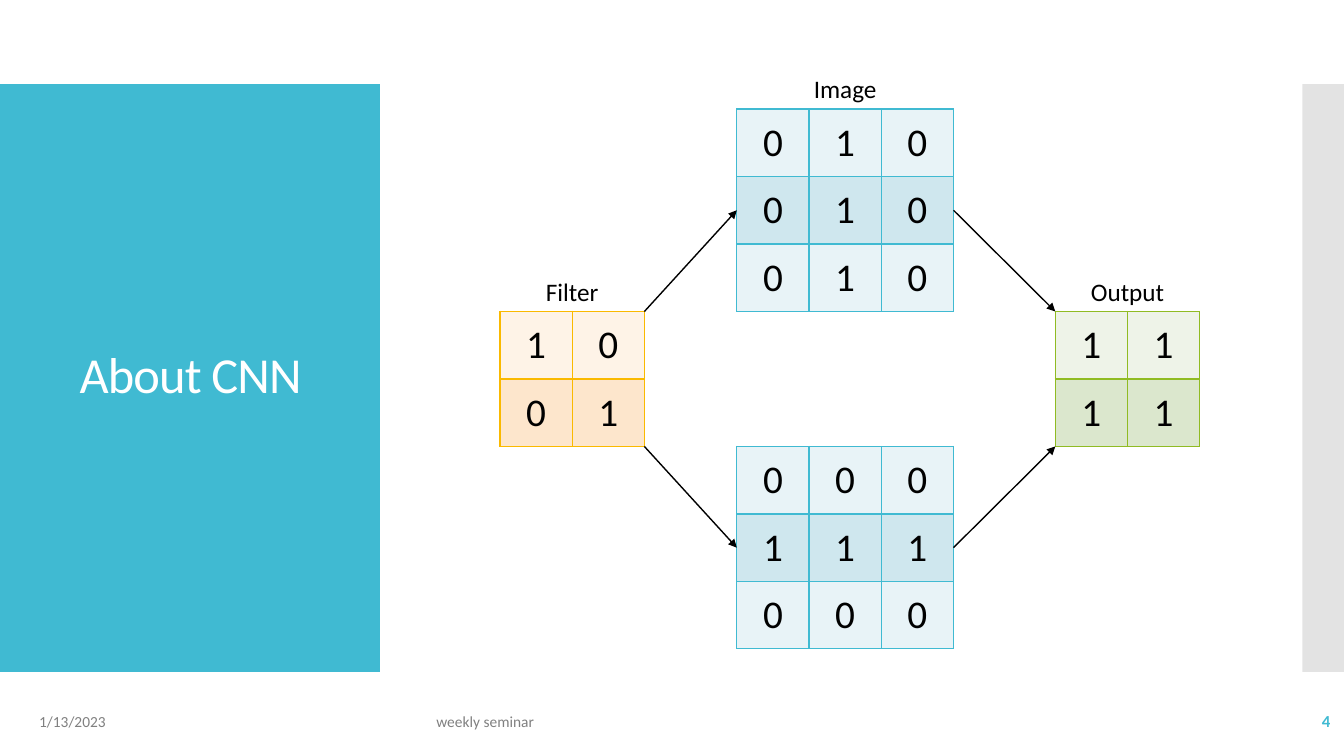
"""Build the "About CNN" slide with a filter, two images and their output."""
import pptx
import pptx.util
import pptx.dml.color
import pptx.enum.shapes
import pptx.enum.text
import pptx.oxml
import pptx.oxml.ns
from lxml import etree

Pt = pptx.util.Pt
RGBColor = pptx.dml.color.RGBColor
ALIGN = pptx.enum.text.PP_ALIGN
MIDDLE = pptx.enum.text.MSO_ANCHOR.MIDDLE

WHITE = RGBColor(0xFF, 0xFF, 0xFF)
BLACK = RGBColor(0, 0, 0)
TEAL = RGBColor(0x40, 0xBA, 0xD2)
AMBER = RGBColor(0xFA, 0xB9, 0x00)
GREEN = RGBColor(0x90, 0xBB, 0x23)
SILVER = RGBColor(0xC8, 0xC8, 0xC8)
GREY = RGBColor(0x80, 0x80, 0x80)
TEAL_BANDS = RGBColor(0xE8, 0xF3, 0xF7), RGBColor(0xCF, 0xE7, 0xEE)
AMBER_BANDS = RGBColor(0xFE, 0xF3, 0xE7), RGBColor(0xFD, 0xE6, 0xCC)
GREEN_BANDS = RGBColor(0xEE, 0xF3, 0xE8), RGBColor(0xDB, 0xE7, 0xCD)

FONT = "Calibri"
CELL_WIDTH, CELL_HEIGHT = 51.6, 48.2
LABEL_WIDTH, LABEL_HEIGHT = 70, 29
FILTER_LEFT, IMAGE_LEFT, OUTPUT_LEFT = 357.1, 526.3, 753.8
IMAGE_TOP = 77.9
MIDDLE_TOP = IMAGE_TOP + 3 * CELL_HEIGHT
LOWER_TOP = MIDDLE_TOP + 2 * CELL_HEIGHT

TITLE = "About CNN"
PANELS = [(0, 271.4, TEAL, 100), (930.2, 29.8, SILVER, 50)]
FOOTERS = [
    ("1/13/2023", 20.9, 216, 11, GREY, False, ALIGN.LEFT),
    ("weekly seminar", 304.6, 465, 11, GREY, False, ALIGN.LEFT),
    ("4", 837.4, 120, 12, TEAL, True, ALIGN.RIGHT),
]
MATRICES = [
    ("Image", IMAGE_LEFT, IMAGE_TOP, ["010", "010", "010"], TEAL, TEAL_BANDS),
    ("Filter", FILTER_LEFT, MIDDLE_TOP, ["10", "01"], AMBER, AMBER_BANDS),
    ("Output", OUTPUT_LEFT, MIDDLE_TOP, ["11", "11"], GREEN, GREEN_BANDS),
    ("", IMAGE_LEFT, LOWER_TOP, ["000", "111", "000"], TEAL, TEAL_BANDS),
]


def style(para, size, color, align, bold=False):
    para.alignment = align
    para.font.name = FONT
    para.font.size = Pt(size)
    para.font.bold = bold
    para.font.color.rgb = color


def add_text(page, text, left, top, width, size, color, bold=False, align=ALIGN.CENTER):
    box = page.shapes.add_textbox(Pt(left), Pt(top), Pt(width), Pt(LABEL_HEIGHT))
    box.text_frame.word_wrap = True
    box.text_frame.vertical_anchor = MIDDLE
    para = box.text_frame.paragraphs[0]
    para.text = text
    style(para, size, color, align, bold)


def add_panel(page, left, width, color, opacity):
    panel = page.shapes.add_shape(
        pptx.enum.shapes.MSO_SHAPE.RECTANGLE, Pt(left), Pt(60), Pt(width), Pt(420))
    panel.shadow.inherit = False
    panel.fill.solid()
    panel.fill.fore_color.rgb = color
    panel.line.fill.background()
    tint = panel.element.spPr.find(".//" + pptx.oxml.ns.qn("a:srgbClr"))
    etree.SubElement(tint, pptx.oxml.ns.qn("a:alpha"), val=str(opacity * 1000))


def add_borders(cell, color):
    properties = cell._tc.get_or_add_tcPr()
    for side in "LRTB":
        properties.append(pptx.oxml.parse_xml(
            f'<a:ln{side} {pptx.oxml.ns.nsdecls("a")} w="12700"><a:solidFill>'
            f'<a:srgbClr val="{color}"/></a:solidFill></a:ln{side}>'))


def add_matrix(page, label, left, top, rows, border, bands):
    columns = len(rows[0])
    width = columns * CELL_WIDTH
    table = page.shapes.add_table(
        len(rows), columns, Pt(left), Pt(top), Pt(width), Pt(len(rows) * CELL_HEIGHT)).table
    for column in table.columns:
        column.width = Pt(CELL_WIDTH)
    for row_index, digits in enumerate(rows):
        table.rows[row_index].height = Pt(CELL_HEIGHT)
        for column_index, digit in enumerate(digits):
            cell = table.cell(row_index, column_index)
            add_borders(cell, border)
            cell.fill.solid()
            cell.fill.fore_color.rgb = bands[row_index % 2]
            cell.vertical_anchor = MIDDLE
            para = cell.text_frame.paragraphs[0]
            para.text = digit
            style(para, 28, BLACK, ALIGN.CENTER)
    if label:
        label_left = left + (width - LABEL_WIDTH) / 2
        add_text(page, label, label_left, top - LABEL_HEIGHT, LABEL_WIDTH, 18, BLACK)


def add_arrow(page, start, end):
    arrow = page.shapes.add_connector(
        pptx.enum.shapes.MSO_CONNECTOR.STRAIGHT, *(Pt(value) for value in start + end))
    arrow.line.color.rgb = BLACK
    arrow.line.width = Pt(1)
    etree.SubElement(arrow.line._get_or_add_ln(), pptx.oxml.ns.qn("a:tailEnd"), type="triangle")
    etree.SubElement(arrow.element.spPr, pptx.oxml.ns.qn("a:effectLst"))


def add_title(page):
    title = page.shapes.title
    title.element.getparent().append(title.element)
    title.left, title.top, title.width, title.height = Pt(20.2), Pt(88.6), Pt(232), Pt(362)
    title.text_frame.word_wrap = True
    title.text_frame.vertical_anchor = MIDDLE
    para = title.text_frame.paragraphs[0]
    span = para.add_run()
    span.text = TITLE
    span.font._element.set("spc", "-60")
    para.line_spacing = 0.9
    style(para, 36, WHITE, ALIGN.CENTER)


def main():
    deck = pptx.Presentation()
    deck.slide_width, deck.slide_height = Pt(960), Pt(540)
    page = deck.slides.add_slide(deck.slide_layouts[5])
    for panel in PANELS:
        add_panel(page, *panel)
    add_title(page)
    for text, left, width, size, color, bold, align in FOOTERS:
        add_text(page, text, left, 500.4, width, size, color, bold, align)
    for matrix in MATRICES:
        add_matrix(page, *matrix)
    filter_right = FILTER_LEFT + 2 * CELL_WIDTH
    image_right = IMAGE_LEFT + 3 * CELL_WIDTH
    for image_top, corner in ((IMAGE_TOP, MIDDLE_TOP), (LOWER_TOP, LOWER_TOP)):
        center = image_top + 1.5 * CELL_HEIGHT
        add_arrow(page, (filter_right, corner), (IMAGE_LEFT, center))
        add_arrow(page, (image_right, center), (OUTPUT_LEFT, corner))
    deck.save("out.pptx")


if __name__ == "__main__":
    main()
